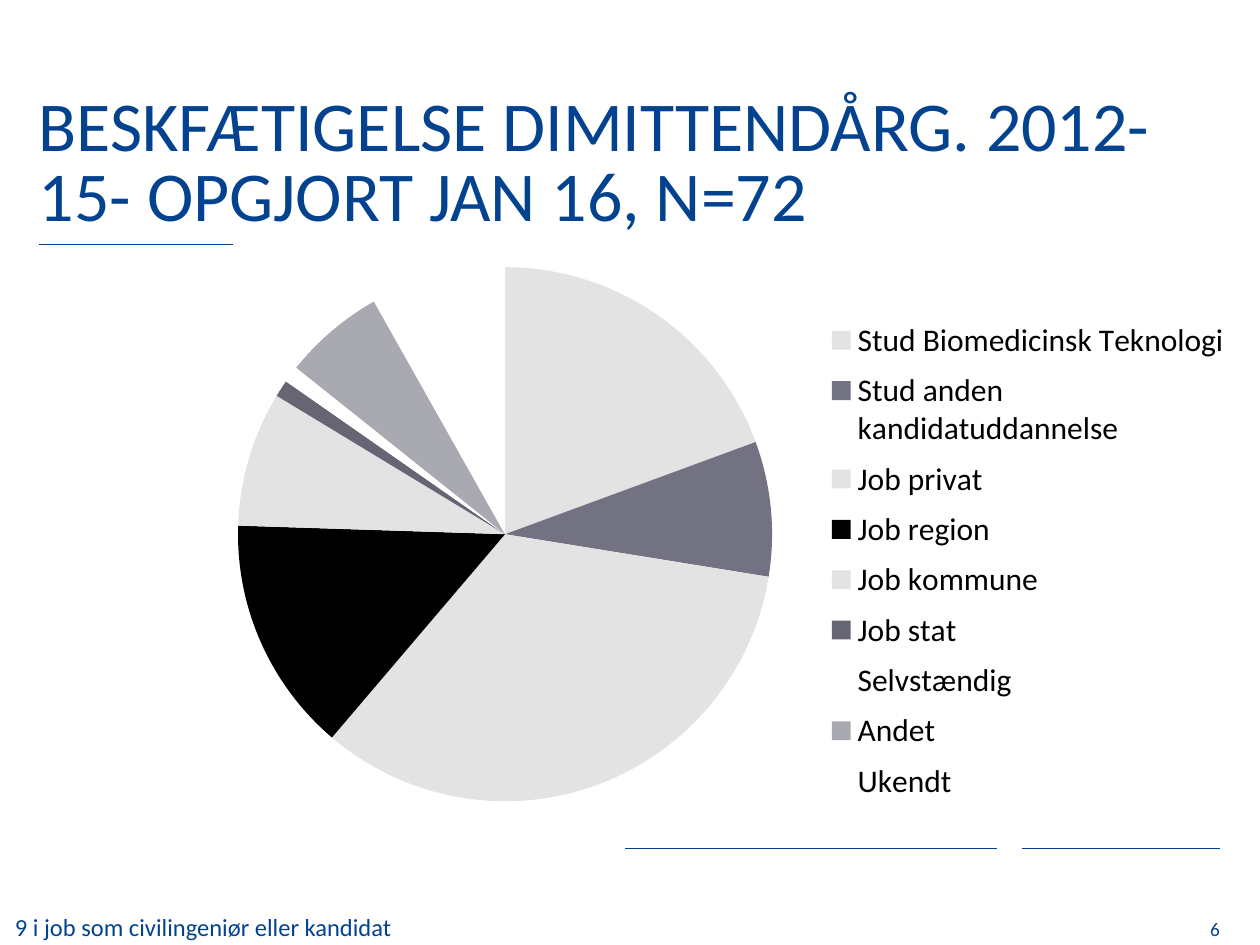
from dataclasses import dataclass
from lxml.etree import SubElement
from pptx import Presentation
from pptx.chart.data import CategoryChartData
from pptx.dml.color import RGBColor
from pptx.enum.chart import XL_CHART_TYPE, XL_LEGEND_POSITION
from pptx.enum.shapes import MSO_CONNECTOR
from pptx.enum.text import MSO_ANCHOR, MSO_AUTO_SIZE, PP_ALIGN
from pptx.oxml.ns import qn
from pptx.util import Emu, Pt


@dataclass
class Theme:
    font: str = "Calibri"
    blue: str = "03428E"
    black: str = "000000"
    white: str = "FFFFFF"
    light: str = "E3E3E3"
    slate: str = "737282"
    dark: str = "666573"
    gray: str = "A9A9B2"
    head: int = 40
    legend: int = 18
    note: int = 14
    page: int = 11


theme = Theme()


def px(*nums):
    return [Emu(round(num * 914400 / 126)) for num in nums]


def write(shape, text, size, align=PP_ALIGN.LEFT, anchor=MSO_ANCHOR.TOP, space=1.0):
    frame = shape.text_frame
    frame.word_wrap = True
    frame.auto_size = MSO_AUTO_SIZE.NONE
    frame.vertical_anchor = anchor
    frame.margin_left = frame.margin_right = frame.margin_top = frame.margin_bottom = 0
    frame.text = text
    para = frame.paragraphs[0]
    para.alignment = align
    para.line_spacing = space
    font = para.runs[0].font
    font.name, font.size = theme.font, Pt(size)
    font.color.rgb = RGBColor.from_string(theme.blue)


deck = Presentation()
deck.slide_width, deck.slide_height = px(1260, 945)
slide = deck.slides.add_slide(deck.slide_layouts[5])
shapes = slide.shapes

for left, right, top in [(625, 997, 848), (1022, 1220, 848), (39, 233, 244)]:
    rule = shapes.add_connector(MSO_CONNECTOR.STRAIGHT, *px(left, top, right, top))
    rule.line.color.rgb = RGBColor.from_string(theme.blue)
    rule.line.width = Pt(0.25)
    SubElement(rule.line._get_or_add_ln().getparent(), qn("a:effectLst"))

title = shapes.title
title.left, title.top, title.width, title.height = px(39, 96, 1181, 141)
write(title, "BESKFÆTIGELSE DIMITTENDÅRG. 2012-15- OPGJORT JAN 16, N=72", theme.head, space=0.83)

slices = [
    ("Stud Biomedicinsk Teknologi", 19, theme.light),
    ("Stud anden kandidatuddannelse", 8, theme.slate),
    ("Job privat", 33, theme.light),
    ("Job region", 14, theme.black),
    ("Job kommune", 8, theme.light),
    ("Job stat", 1, theme.dark),
    ("Selvstændig", 1, theme.white),
    ("Andet ", 6, theme.gray),
    ("Ukendt", 8, theme.white),
]
data = CategoryChartData()
data.categories = [name for name, count, color in slices]
data.add_series("Series 1", [count for name, count, color in slices])
chart = shapes.add_chart(XL_CHART_TYPE.PIE, *px(39, 266, 1206, 614), data).chart
chart.has_title = False
chart.font.name = theme.font
chart.font.color.rgb = RGBColor.from_string(theme.black)
chart.has_legend = True
legend = chart.legend
legend.position = XL_LEGEND_POSITION.RIGHT
legend.include_in_layout = False
legend.font.name, legend.font.size = theme.font, Pt(theme.legend)
legend.font.color.rgb = RGBColor.from_string(theme.black)

plot = chart.plots[0]
plot.vary_by_categories = True
for num, (name, count, color) in enumerate(slices):
    form = plot.series[0].points[num].format
    form.fill.solid()
    form.fill.fore_color.rgb = RGBColor.from_string(color)
    form.line.fill.background()

root = chart._chartSpace.chart
edges = [("xMode", "edge"), ("yMode", "edge")]
for part, spot, start, box in [
    (root.plotArea, 0, [("layoutTarget", "inner")], ("0.079", "0.002", "0.615", "0.87")),
    (root.find(qn("c:legend")), 1, [], ("0.65", "0.07", "0.34", "0.82")),
]:
    for old in part.findall(qn("c:layout")):
        part.remove(old)
    layout = part.makeelement(qn("c:layout"))
    part.insert(spot, layout)
    manual = SubElement(layout, qn("c:manualLayout"))
    for tag, val in start + edges + list(zip("xywh", box)):
        SubElement(manual, qn("c:" + tag)).set("val", val)

note = shapes.add_textbox(*px(15, 915, 900, 28))
write(note, "9 i job som civilingeniør eller kandidat", theme.note, space=0.92)
page = shapes.add_textbox(*px(1022, 920, 198, 20))
write(page, "6", theme.page, align=PP_ALIGN.RIGHT, anchor=MSO_ANCHOR.BOTTOM, space=Pt(12))

deck.save("out.pptx")
